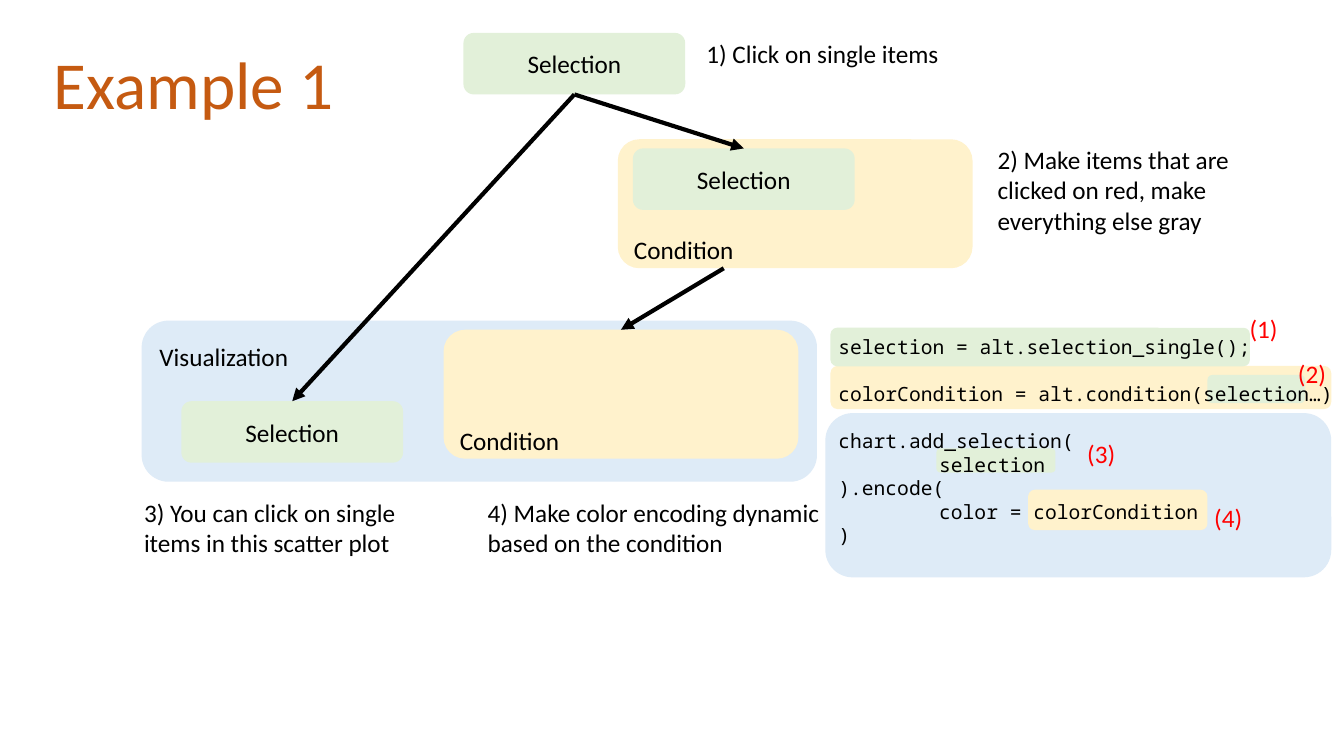
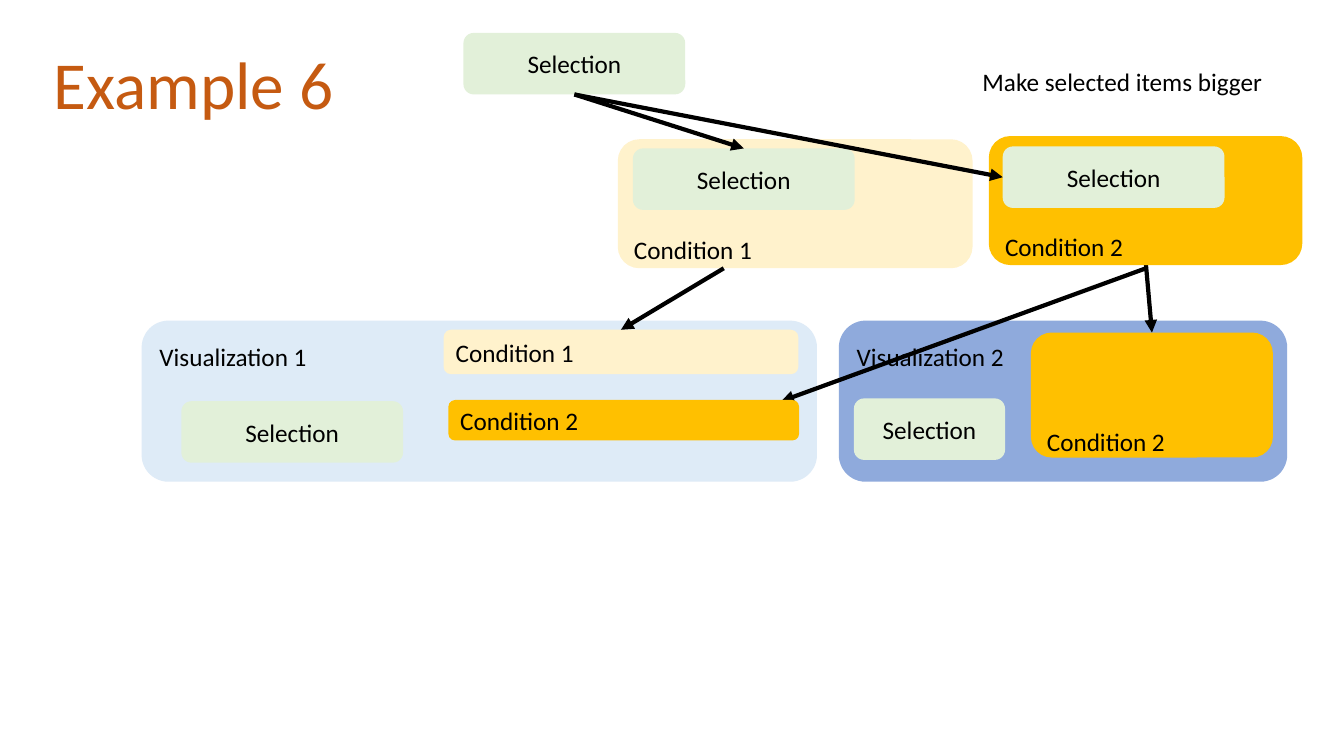
"""Two slides on how selections and conditions feed a visualization."""
from dataclasses import dataclass

from lxml import etree
from pptx import Presentation
from pptx.dml.color import RGBColor
from pptx.enum.shapes import MSO_CONNECTOR, MSO_SHAPE
from pptx.enum.text import MSO_ANCHOR as ANCHOR, MSO_AUTO_SIZE as AUTO, PP_ALIGN as ALIGN
from pptx.oxml.ns import qn
from pptx.util import Cm, Pt

BLACK, RED, RUST = "000000", "FF0000", "C55A11"
GREEN, CREAM, AMBER = "E2F0D9", "FFF2CC", "FFC000"
PALE_BLUE, BLUE = "DEEBF7", "8FAADC"
SANS, MONO = "Calibri", "Noto Sans Mono"

LINE = 0.775        # height of one 18 pt line, cm
CORNER = 0.0488     # text inset of a rounded corner, share of the height
PAD_X, PAD_Y = 0.25, 0.13
CODE_INDENT = 2.54
UPPER, MIDDLE, LOWER = -1.44, 0, 1.5   # label offset from the box centre, in lines

Point = tuple[float, float]


@dataclass(frozen=True)
class Box:
    """Rounded box with an optional one-line label; lengths in cm."""
    left: float
    top: float
    width: float
    height: float
    fill: str
    label: str = ""
    align: ALIGN = ALIGN.LEFT
    offset: float = MIDDLE

    @property
    def top_mid(self) -> Point:
        return self.left + self.width / 2, self.top

    @property
    def bottom_mid(self) -> Point:
        return self.left + self.width / 2, self.top + self.height

    @property
    def left_mid(self) -> Point:
        return self.left, self.top + self.height / 2


@dataclass(frozen=True)
class Arrow:
    """Straight arrow between two points."""
    start: Point
    end: Point


@dataclass(frozen=True)
class Note:
    """Free text; blocks are set apart by one line, a leading tab indents a line."""
    left: float
    top: float
    width: float
    height: float
    blocks: tuple[str, ...]
    size: float = 18
    font: str = SANS
    color: str = BLACK
    wrap: bool = True


def rgb(value: str) -> RGBColor:
    """Turn a hex string into a colour."""
    return RGBColor.from_string(value)


def set_all(obj, values: dict) -> None:
    """Set several attributes of one object."""
    for name, value in values.items():
        setattr(obj, name, value)


def place(left: float, top: float, width: float, height: float) -> dict:
    """Give position and size as attribute values."""
    return dict(left=Cm(left), top=Cm(top), width=Cm(width), height=Cm(height))


def frame_format(anchor: ANCHOR, top: float = PAD_Y, bottom: float = PAD_Y,
                 wrap: bool = True) -> dict:
    """Give the attribute values of a text frame."""
    return dict(word_wrap=wrap, auto_size=AUTO.NONE, vertical_anchor=anchor,
                margin_left=Cm(PAD_X), margin_right=Cm(PAD_X),
                margin_top=Cm(top), margin_bottom=Cm(bottom))


def add_run(p, text: str, size: float, color: str, font: str = SANS) -> None:
    """Add a formatted run to a paragraph."""
    r = p.add_run()
    r.text = text
    set_all(r.font, dict(size=Pt(size), name=font))
    r.font.color.rgb = rgb(color)


def draw_box(s, box: Box) -> None:
    """Draw a rounded box and its label."""
    sp = s.shapes.add_shape(MSO_SHAPE.ROUNDED_RECTANGLE, Cm(box.left), Cm(box.top),
                            Cm(box.width), Cm(box.height))
    sp.shadow.inherit = False
    sp.fill.solid()
    sp.fill.fore_color.rgb = rgb(box.fill)
    sp.line.fill.background()
    if not box.label:
        return
    values = frame_format(ANCHOR.MIDDLE)
    if box.offset != MIDDLE:
        top = box.height * (0.5 - CORNER) + (box.offset - 0.5) * LINE
        values = frame_format(ANCHOR.TOP, round(top, 2), 0)
    tf = sp.text_frame
    set_all(tf, values)
    p = tf.paragraphs[0]
    p.alignment = box.align
    add_run(p, box.label, 18, BLACK)


def draw_arrow(s, arrow: Arrow) -> None:
    """Draw a black line with a triangle at its end."""
    ends = [Cm(v) for v in (*arrow.start, *arrow.end)]
    line = s.shapes.add_connector(MSO_CONNECTOR.STRAIGHT, *ends)
    line.line.color.rgb = rgb(BLACK)
    line.line.width = Pt(3)
    etree.SubElement(line.line._get_or_add_ln(), qn("a:tailEnd"), type="triangle")
    etree.SubElement(line._element.spPr, qn("a:effectLst"))


def draw_note(s, note: Note) -> None:
    """Draw a text box, one paragraph a line."""
    sp = s.shapes.add_textbox(Cm(note.left), Cm(note.top), Cm(note.width), Cm(note.height))
    tf = sp.text_frame
    set_all(tf, frame_format(ANCHOR.TOP, wrap=note.wrap))
    p = None
    for b, block in enumerate(note.blocks):
        for i, text in enumerate(block.split("\n")):
            p = tf.add_paragraph() if p is not None else tf.paragraphs[0]
            p.alignment = ALIGN.LEFT
            if b and i == 0:
                p.space_before = Pt(note.size * 1.2)
            if text.startswith("\t"):
                pPr = p._p.get_or_add_pPr()
                pPr.set("marL", str(int(Cm(CODE_INDENT))))
                pPr.set("indent", "0")
            add_run(p, text.lstrip("\t"), note.size, note.color, note.font)


DRAW = {Box: draw_box, Arrow: draw_arrow, Note: draw_note}


def selection(left: float, top: float, width: float = 5.59) -> Box:
    """Describe a green selection box."""
    return Box(left, top, width, 1.55, GREEN, "Selection", ALIGN.CENTER)


def condition(left: float, top: float, width: float, height: float = 3.25,
              fill: str = CREAM, label: str = "Condition", offset: float = LOWER) -> Box:
    """Describe a condition box."""
    return Box(left, top, width, height, fill, label, offset=offset)


def visualization(left: float, width: float, fill: str, label: str) -> Box:
    """Describe a visualization box."""
    return Box(left, 8.08, width, 4.06, fill, label, offset=UPPER)


SOURCE = selection(11.68, 0.83)
USED = selection(15.95, 3.74)
CHOSEN = selection(4.57, 10.11)


def flow(suffix: str, nested: Box) -> list:
    """List the selection, condition and visualization found on both slides."""
    return [
        condition(15.57, 3.51, 8.94, label="Condition" + suffix),
        SOURCE,
        USED,
        Arrow(SOURCE.bottom_mid, USED.top_mid),
        visualization(3.57, 17.02, PALE_BLUE, "Visualization" + suffix),
        nested,
        CHOSEN,
        Arrow((18.24, 6.76), nested.top_mid),
    ]


def example_1() -> list:
    """List the items of the single-chart example with its code."""
    code = Note(20.88, 8.31, 12.98, 5.64, (
        "selection = alt.selection_single();",
        "colorCondition = alt.condition(selection…)",
        "chart.add_selection(\n\tselection\n).encode(\n\tcolor = colorCondition\n)",
    ), 14, MONO, wrap=False)
    tag_points = [(31.24, 7.77), (32.46, 8.89), (27.15, 10.92), (30.35, 12.52)]
    return [
        Box(20.8, 10.41, 12.75, 4.14, PALE_BLUE),
        Box(25.91, 12.34, 4.52, 1.02, CREAM),
        Box(23.6, 11.3, 3, 0.61, GREEN),
        Box(20.93, 9.22, 12.62, 1.09, CREAM),
        Box(30.43, 9.45, 2.46, 0.71, GREEN),
        Box(20.93, 8.26, 10.57, 0.97, GREEN),
        *flow("", condition(11.18, 8.31, 8.94)),
        Arrow(SOURCE.bottom_mid, CHOSEN.top_mid),
        Note(17.55, 0.83, 7.8, 1.02, ("1) Click on single items",)),
        Note(24.89, 3.51, 8, 2.57,
             ("2) Make items that are clicked on red, make everything else gray",)),
        Note(3.38, 12.4, 8, 2.57, ("3) You can click on single items in this scatter plot",)),
        Note(12.04, 12.4, 10.06, 2.57,
             ("4) Make color encoding dynamic based on the condition",)),
        code,
        *(Note(x, y, 1.35, 1.02, (f"({n})",), color=RED)
          for n, (x, y) in enumerate(tag_points, 1)),
    ]


def example_6() -> list:
    """List the items of the example with two linked charts."""
    second = dict(fill=AMBER, label="Condition 2")
    nested = condition(25.98, 8.38, 6.1, 3.15, **second)
    used = selection(25.27, 3.69)
    return [
        *flow(" 1", condition(11.18, 8.31, 8.94, 1.12, label="Condition 1", offset=MIDDLE)),
        visualization(21.14, 11.3, BLUE, "Visualization 2"),
        nested,
        Arrow((28.88, 6.68), nested.top_mid),
        Arrow((28.88, 6.76), (19.69, 10.11)),
        selection(21.52, 10.04, 3.81),
        condition(24.92, 3.43, 7.9, **second),
        used,
        Arrow(SOURCE.bottom_mid, used.left_mid),
        Note(24.51, 1.55, 9.07, 1.02, ("Make selected items bigger",)),
        condition(11.3, 10.08, 8.84, 1.02, offset=MIDDLE, **second),
    ]


def add_slide(prs, title: str, items: list) -> None:
    """Add a titled slide and draw its items from back to front."""
    s = prs.slides.add_slide(prs.slide_layouts[5])
    sp = s.shapes.title
    set_all(sp, place(1.1, 0.94, 9.6, 2.31))
    tf = sp.text_frame
    set_all(tf, frame_format(ANCHOR.TOP))
    p = tf.paragraphs[0]
    p.alignment = ALIGN.LEFT
    add_run(p, title, 48, RUST)
    for item in items:
        DRAW[type(item)](s, item)


def main() -> None:
    """Build and save the presentation."""
    prs = Presentation()
    set_all(prs, dict(slide_width=Cm(33.87), slide_height=Cm(19.05)))
    add_slide(prs, "Example 1", example_1())
    add_slide(prs, "Example 6", example_6())
    prs.save("out.pptx")


main()
